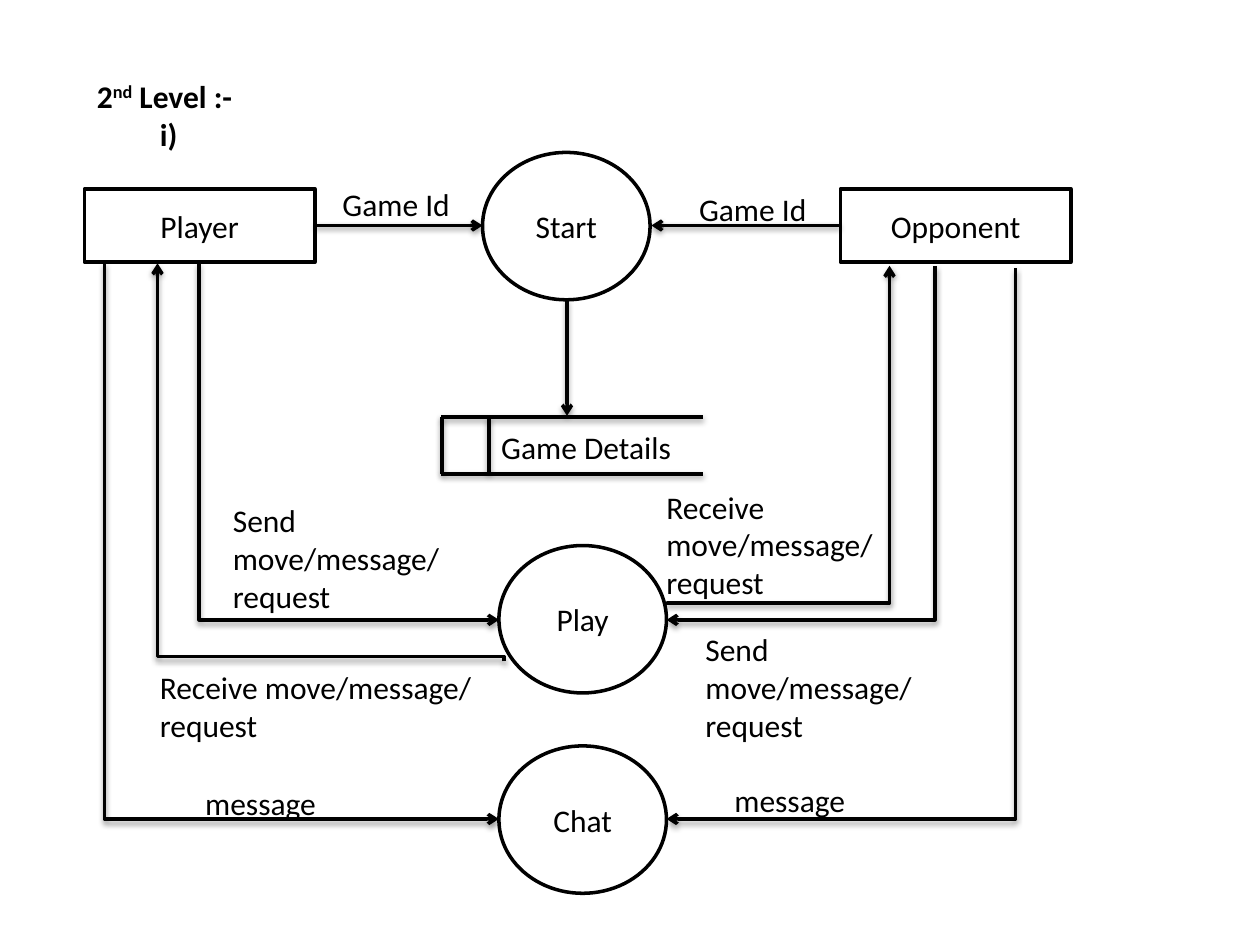
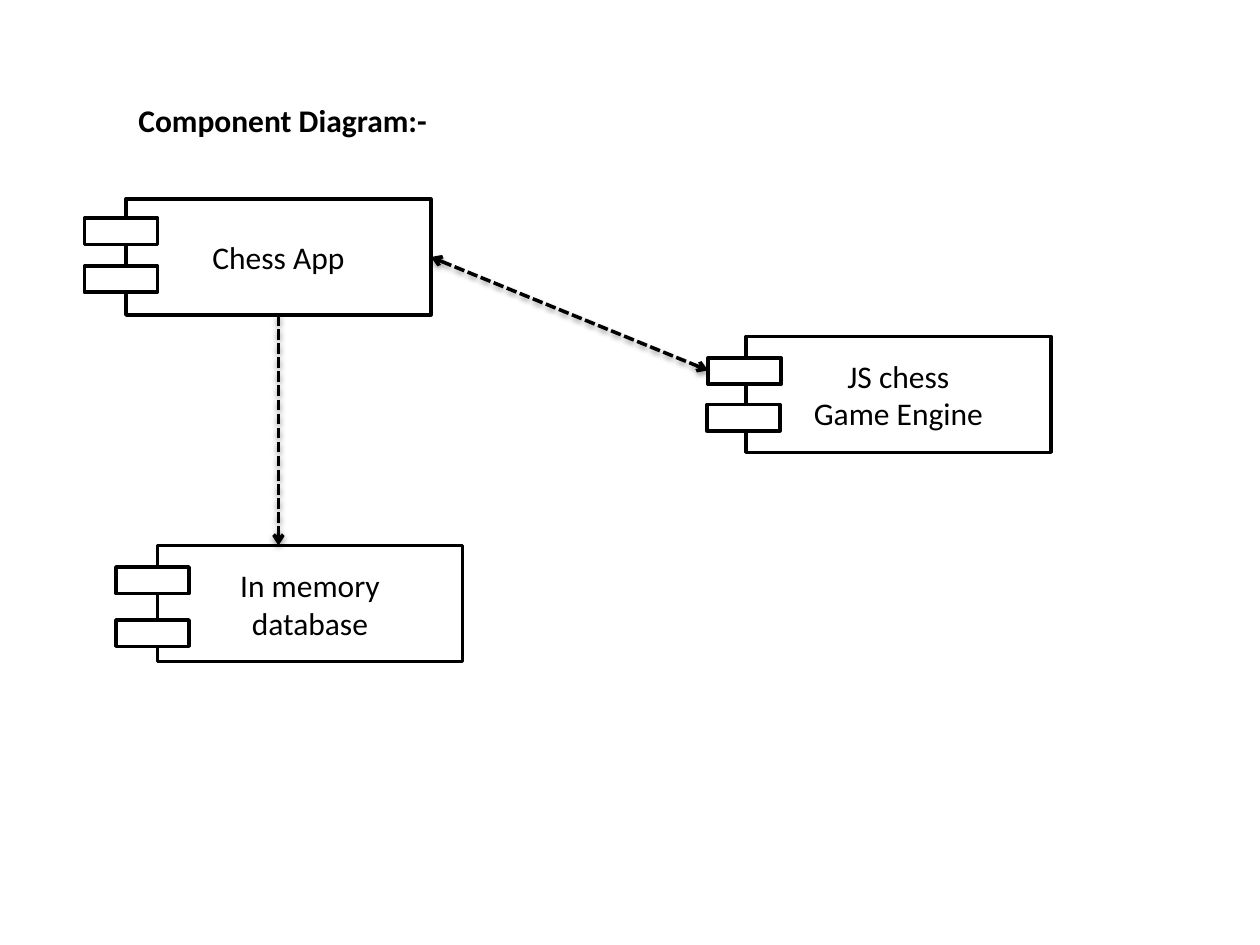
from pptx import Presentation
from pptx.dml.color import RGBColor
from pptx.enum.dml import MSO_LINE
from pptx.enum.shapes import MSO_CONNECTOR, MSO_SHAPE
from pptx.enum.text import MSO_ANCHOR, MSO_AUTO_SIZE, PP_ALIGN
from pptx.oxml import parse_xml
from pptx.oxml.ns import nsdecls, qn
from pptx.util import Inches, Pt

INK, PAPER = "000000", "FFFFFF"
FONT = {"name": "Calibri", "size": Pt(18)}
LINE_WIDTH = Pt(2)
LABEL_H = 0.4
CIRCLE = (1.33, 1.17)
ENTITY = (1.83, 0.58)
COMPONENT = (2.42, 0.92)
TAB = (0.58, 0.21)
SHADOW = (
    f'<a:effectLst {nsdecls("a")}><a:outerShdw blurRad="40000" dist="20000" dir="5400000" '
    f'rotWithShape="0"><a:srgbClr val="{INK}"><a:alpha val="38000"/></a:srgbClr>'
    "</a:outerShdw></a:effectLst>"
)


def color(value):
    """Turn a hex string into a colour."""
    return RGBColor.from_string(value)


def add_run(p, text, bold=False, baseline=None):
    """Add a run in the shared text style."""
    r = p.add_run()
    r.text = text
    for key, value in {**FONT, "bold": bold}.items():
        setattr(r.font, key, value)
    r.font.color.rgb = color(INK)
    if baseline:
        r.font._element.set("baseline", str(baseline))


def add_box(s, x, y, w, h, lines=(), kind=MSO_SHAPE.RECTANGLE):
    """Add an outlined shape with centred lines of text."""
    sp = s.shapes.add_shape(kind, Inches(x), Inches(y), Inches(w), Inches(h))
    sp.shadow.inherit = False
    sp.fill.solid()
    sp.fill.fore_color.rgb = color(PAPER)
    sp.line.color.rgb = color(INK)
    sp.line.width = LINE_WIDTH
    tf = sp.text_frame
    tf.vertical_anchor = MSO_ANCHOR.MIDDLE
    for i, line in enumerate(lines):
        p = tf.add_paragraph() if i else tf.paragraphs[0]
        p.alignment = PP_ALIGN.CENTER
        add_run(p, line)


def add_label(s, x, y, w, h, text="", bold=False, wrap=None):
    """Add a text box and return its frame; tall boxes wrap."""
    tf = s.shapes.add_textbox(Inches(x), Inches(y), Inches(w), Inches(h)).text_frame
    for key, value in {
        "word_wrap": h > LABEL_H if wrap is None else wrap,
        "auto_size": MSO_AUTO_SIZE.SHAPE_TO_FIT_TEXT,
    }.items():
        setattr(tf, key, value)
    if text:
        add_run(tf.paragraphs[0], text, bold)
    return tf


def style_line(cxn, head=False, tail=True, dashed=False):
    """Give a connector its ink, arrowheads and soft shadow."""
    cxn.line.color.rgb = color(INK)
    cxn.line.width = LINE_WIDTH
    if dashed:
        cxn.line.dash_style = MSO_LINE.SQUARE_DOT
    ln = cxn.line._get_or_add_ln()
    for tag, shown in (("headEnd", head), ("tailEnd", tail)):
        if shown:
            ln.append(parse_xml(f'<a:{tag} {nsdecls("a")} type="arrow"/>'))
    cxn._element.spPr.append(parse_xml(SHADOW))


def add_line(s, x1, y1, x2, y2, **style):
    """Add a straight connector."""
    ends = [Inches(v) for v in (x1, y1, x2, y2)]
    style_line(s.shapes.add_connector(MSO_CONNECTOR.STRAIGHT, *ends), **style)


def add_elbow(s, x1, y1, x2, y2, adjust=None):
    """Add a bent arrow, turned so that it runs along the vertical axis."""
    w, h = abs(y2 - y1), abs(x2 - x1)
    x, y = (x1 + x2 - w) / 2, (y1 + y2 - h) / 2
    ends = [Inches(v) for v in (x, y, x + w, y + h)]
    cxn = s.shapes.add_connector(MSO_CONNECTOR.ELBOW, *ends)
    right, down = x2 > x1, y2 > y1
    xfrm = cxn._element.spPr.find(qn("a:xfrm"))
    turn = 270 if right == down else 90
    for key, value in {"rot": turn * 60000, "flipH": int(right), "flipV": int(not down)}.items():
        xfrm.set(key, str(value))
    geom = cxn._element.spPr.find(qn("a:prstGeom"))
    if adjust is None:
        geom.set("prst", "bentConnector2")
    else:
        geom.find(qn("a:avLst")).append(
            parse_xml(f'<a:gd {nsdecls("a")} name="adj1" fmla="val {adjust}"/>')
        )
    style_line(cxn)


def add_process(s, x, y, name):
    """Add a process circle."""
    add_box(s, x, y, *CIRCLE, [name], MSO_SHAPE.OVAL)


def add_store(s, x, y, w, h, name):
    """Add an open-ended data store."""
    for dy in (0, h):
        add_line(s, x, y + dy, x + w, y + dy, tail=False)
    for dx in (0.01, 0.38):
        add_line(s, x + dx, y, x + dx, y + h, tail=False)
    add_label(s, x + 0.38, y + 0.04, 1.56, LABEL_H, name)


def add_entity(s, x, y, name, start, elbows, labels):
    """Add an entity with its flows and their labels, relative to its corner."""
    add_box(s, x, y, *ENTITY, [name])
    add_line(s, x + start[0], y + 0.29, x + start[1], y + 0.29)
    for x1, y1, x2, y2, adjust in elbows:
        add_elbow(s, x + x1, y + y1, x + x2, y + y2, adjust)
    for text, dx, dy, w, h in labels:
        add_label(s, x + dx, y + dy, w, h, text)


def add_component(s, x, y, lines, tabs):
    """Add a component box with its two tabs, relative to its corner."""
    add_box(s, x, y, *COMPONENT, lines)
    for dx, dy in tabs:
        add_box(s, x + dx, y + dy, *TAB)


def build_flow(s):
    """Build the second-level data flow slide."""
    send, receive = "Send move/message/ request", "Receive move/message/ request"
    for x, y, name in ((3.83, 1.21, "Start"), (3.96, 4.33, "Play"), (3.96, 5.92, "Chat")):
        add_process(s, x, y, name)
    add_store(s, 3.5, 3.31, 2.08, 0.45, "Game Details")
    add_line(s, 4.5, 2.38, 4.5, 3.3)
    add_entity(
        s, 0.67, 1.5, "Player", (1.83, 3.16),
        [
            (0.91, 0.59, 3.29, 3.42, None),
            (3.33, 3.75, 0.58, 0.59, 1200),
            (0.16, 0.59, 3.29, 5, None),
        ],
        [
            ("Game Id", 1.95, -0.08, 1.06, LABEL_H),
            (send, 1.08, 2.43, 1.94, 1.01),
            (receive, 0.5, 3.75, 2.92, 0.71),
            ("message", 0.86, 4.67, 1.09, LABEL_H),
        ],
    )
    add_entity(
        s, 6.67, 1.5, "Opponent", (0, -1.5),
        [
            (0.75, 0.61, -1.38, 3.42, None),
            (-1.38, 3.28, 0.39, 0.61, -200),
            (1.39, 0.63, -1.38, 5, None),
        ],
        [
            ("Game Id", -1.22, -0.04, 1.06, LABEL_H),
            (receive, -1.48, 2.32, 1.89, 1.01),
            (send, -1.17, 3.45, 2.08, 1.01),
            ("message", -0.94, 4.65, 1.09, LABEL_H),
        ],
    )
    tf = add_label(s, 0.67, 0.56, 1.65, 0.71)
    p = tf.paragraphs[0]
    for text, baseline in (("2", None), ("nd", 30000), (" Level :- ", None)):
        add_run(p, text, True, baseline)
    add_run(tf.add_paragraph(), "\ti)", True)


def build_components(s):
    """Build the component diagram slide."""
    add_label(s, 1, 0.75, 2.51, LABEL_H, "Component Diagram:-", True)
    add_component(s, 1, 1.58, ["Chess App"], [(-0.33, 0.15), (-0.33, 0.53)])
    add_component(s, 1.25, 4.33, ["In memory", "database"], [(-0.33, 0.17), (-0.33, 0.59)])
    add_component(s, 5.92, 2.67, ["JS chess", "Game Engine"], [(-0.3, 0.17), (-0.31, 0.54)])
    add_line(s, 2.21, 2.5, 2.21, 4.33, dashed=True)
    add_line(s, 3.42, 2.04, 5.62, 2.94, head=True, dashed=True)


prs = Presentation()
prs.slide_width, prs.slide_height = Inches(10), Inches(7.5)
for build in (build_flow, build_components):
    build(prs.slides.add_slide(prs.slide_layouts[6]))
prs.save("out.pptx")
